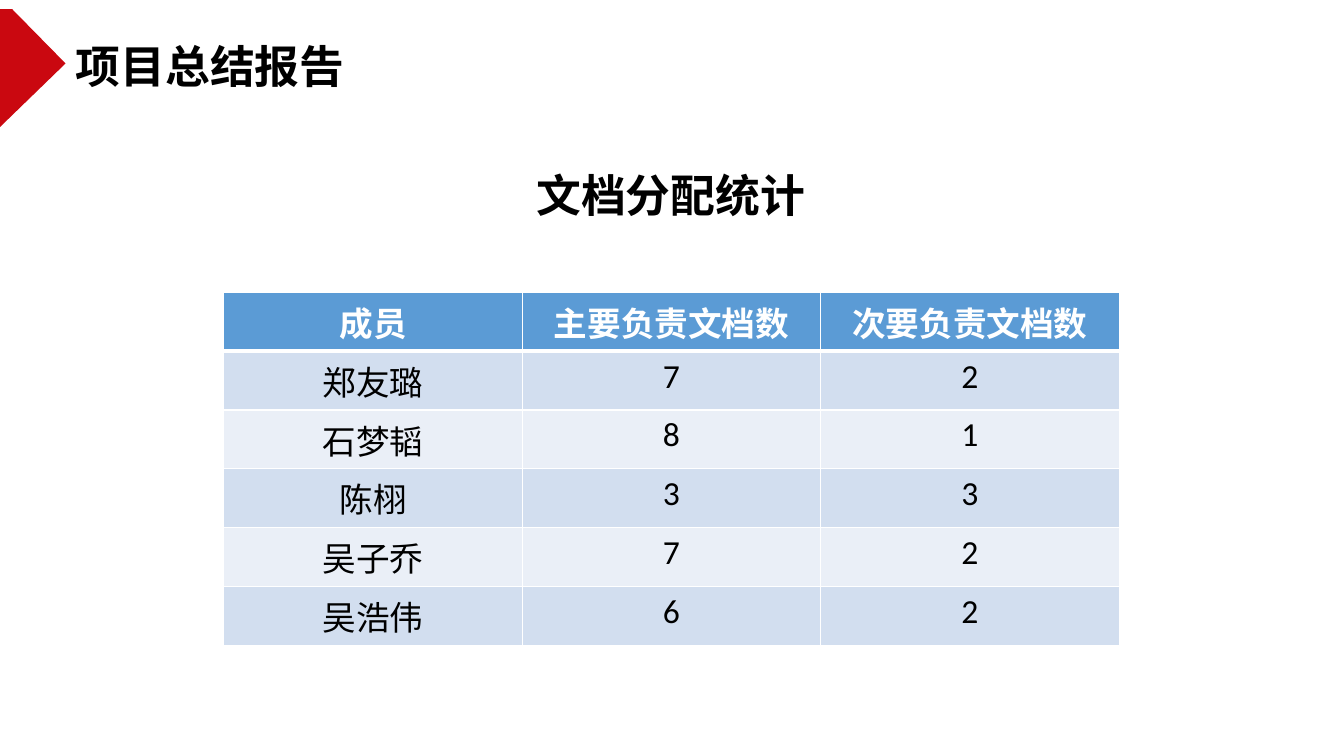
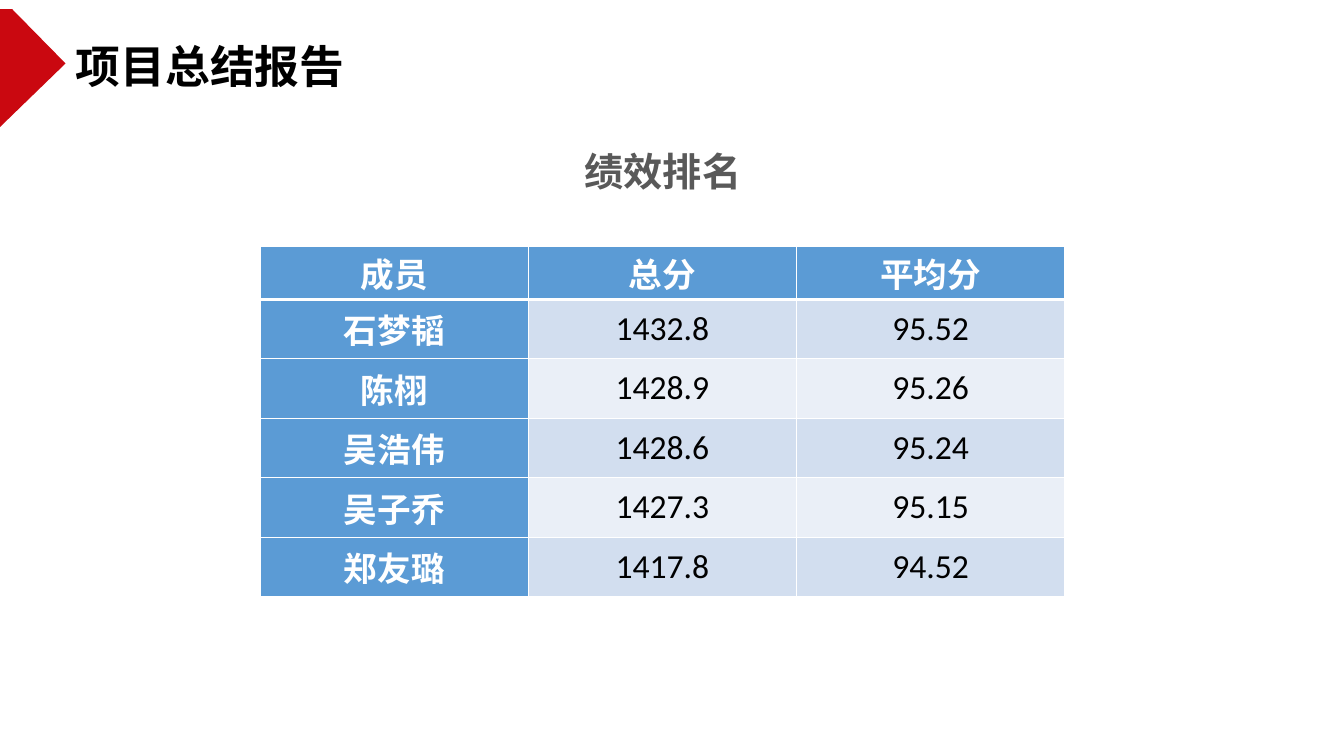
import lxml.etree
import pptx
import pptx.dml.color
import pptx.enum.text
import pptx.oxml.ns
import pptx.util

PX = 9144  # EMU in one px, at 100 px to the inch
RED = pptx.dml.color.RGBColor(0xCA, 0x08, 0x10)
BLACK = pptx.dml.color.RGBColor(0x00, 0x00, 0x00)
WHITE = pptx.dml.color.RGBColor(0xFF, 0xFF, 0xFF)
GRAY = pptx.dml.color.RGBColor(0x59, 0x59, 0x59)
BLUE = pptx.dml.color.RGBColor(0x5B, 0x9B, 0xD5)
BANDS = (
    pptx.dml.color.RGBColor(0xD2, 0xDE, 0xEF),
    pptx.dml.color.RGBColor(0xEA, 0xEF, 0xF7),
)
BODY_FONT = "Calibri"
CHINESE_FONT = "Noto Sans CJK SC"
LEFT = pptx.enum.text.PP_ALIGN.LEFT
CENTER = pptx.enum.text.PP_ALIGN.CENTER
TOP = pptx.enum.text.MSO_ANCHOR.TOP
MIDDLE = pptx.enum.text.MSO_ANCHOR.MIDDLE

REPORT_TITLE = "项目总结报告"
DOCUMENT_ROWS = (
    ("成员", "主要负责文档数", "次要负责文档数"),
    ("郑友璐", "7", "2"),
    ("石梦韬", "8", "1"),
    ("陈栩", "3", "3"),
    ("吴子乔", "7", "2"),
    ("吴浩伟", "6", "2"),
)
RANKING_ROWS = (
    ("成员", "总分", "平均分"),
    ("石梦韬", "1432.8", "95.52"),
    ("陈栩", "1428.9", "95.26"),
    ("吴浩伟", "1428.6", "95.24"),
    ("吴子乔", "1427.3", "95.15"),
    ("郑友璐", "1417.8", "94.52"),
)


def add_run(para, text, size, color, bold, font=BODY_FONT):
    span = para.add_run()
    span.text = text
    span.font.name = font
    span.font.size = pptx.util.Pt(size)
    span.font.bold = bold
    span.font.color.rgb = color
    east_asian = lxml.etree.SubElement(span.font._element, pptx.oxml.ns.qn("a:ea"))
    east_asian.set("typeface", CHINESE_FONT)


def place_heading(shape, box, text, size, color, align, font, wrap=True):
    shape.left, shape.top, shape.width, shape.height = (side * PX for side in box)
    frame = shape.text_frame
    frame.word_wrap = wrap
    frame.auto_size = pptx.enum.text.MSO_AUTO_SIZE.NONE
    frame.vertical_anchor = MIDDLE
    para = frame.paragraphs[0]
    para.alignment = align
    add_run(para, text, size, color, True, font)


def add_page(deck):
    """Add a slide with the red corner marker and the report title."""
    page = deck.slides.add_slide(deck.slide_layouts[5])
    builder = page.shapes.build_freeform(0, 9, scale=PX)
    builder.add_line_segments([(0, 126), (65, 63), (12, 9)], close=True)
    marker = builder.convert_to_shape()
    marker.shadow.inherit = False
    marker.fill.solid()
    marker.fill.fore_color.rgb = RED
    marker.line.fill.background()
    place_heading(page.shapes.title, (65, 33, 579, 64), REPORT_TITLE, 32,
                  BLACK, LEFT, CHINESE_FONT)
    return page


def add_subtitle(page, box, text, size, color, align, font, wrap=True):
    shape = page.shapes.add_textbox(0, 0, 0, 0)
    place_heading(shape, box, text, size, color, align, font, wrap)


def set_borders(cell, top, bottom):
    """Draw white cell borders; top and bottom are widths in points."""
    properties = cell._tc.get_or_add_tcPr()
    widths = (("a:lnL", 1), ("a:lnR", 1), ("a:lnT", top), ("a:lnB", bottom))
    for position, (tag, width) in enumerate(widths):
        line = lxml.etree.Element(pptx.oxml.ns.qn(tag), w=str(pptx.util.Pt(width)))
        fill = lxml.etree.SubElement(line, pptx.oxml.ns.qn("a:solidFill"))
        lxml.etree.SubElement(fill, pptx.oxml.ns.qn("a:srgbClr"), val=str(WHITE))
        properties.insert(position, line)


def add_score_table(page, box, rows, row_heights, anchor=TOP, margins=None,
                    first_column=False):
    """Add a banded table; margins are (side, top and bottom) in px."""
    left, top, width, height = (side * PX for side in box)
    frame = page.shapes.add_table(len(rows), len(rows[0]), left, top, width, height)
    table = frame.table
    table.horz_banding = False
    table.first_col = first_column
    for row, row_height in zip(table.rows, row_heights):
        row.height = row_height * PX
    frame.height = height

    for row_index, values in enumerate(rows):
        for column_index, value in enumerate(values):
            cell = table.cell(row_index, column_index)
            heading = row_index == 0 or (first_column and column_index == 0)
            cell.vertical_anchor = anchor
            if margins:
                cell.margin_left = cell.margin_right = margins[0] * PX
                cell.margin_top = cell.margin_bottom = margins[1] * PX
            cell.fill.solid()
            cell.fill.fore_color.rgb = BLUE if heading else BANDS[(row_index - 1) % 2]
            set_borders(cell, 3 if row_index == 1 else 1, 3 if row_index == 0 else 1)
            para = cell.text_frame.paragraphs[0]
            para.alignment = CENTER
            add_run(para, value, 24, WHITE if heading else BLACK, heading)


def add_document_page(deck):
    page = add_page(deck)
    add_subtitle(page, (522, 161, 579, 64), "文档分配统计", 32, BLACK, LEFT,
                 CHINESE_FONT)
    add_score_table(page, (222, 290, 888, 300), DOCUMENT_ROWS, [41] * 6)


def add_ranking_page(deck):
    page = add_page(deck)
    add_subtitle(page, (569, 141, 177, 57), "绩效排名", 28, GRAY, CENTER,
                 BODY_FONT, wrap=False)
    add_score_table(page, (258, 244, 798, 349), RANKING_ROWS, [53] + [59] * 5,
                    MIDDLE, (7, 0), first_column=True)


def main():
    deck = pptx.Presentation()
    deck.slide_width = 1333 * PX
    deck.slide_height = 750 * PX
    add_document_page(deck)
    add_ranking_page(deck)
    deck.save("out.pptx")


if __name__ == "__main__":
    main()
